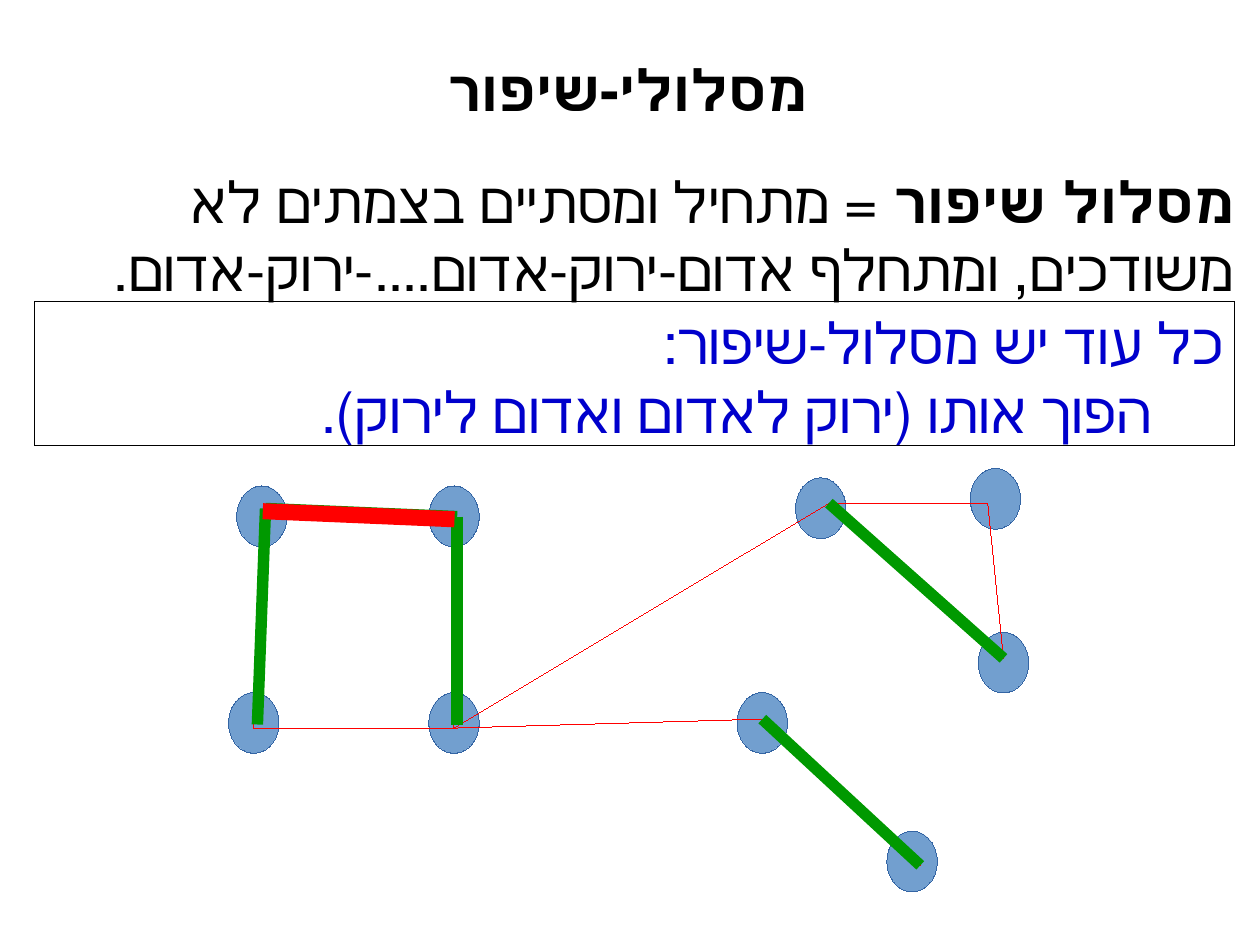
from dataclasses import dataclass

from lxml import etree
from pptx import Presentation
from pptx import util as u
from pptx.dml.color import RGBColor
from pptx.enum import shapes, text
from pptx.oxml.ns import qn

FONT = "Arial"
BLACK, BLUE = "000000", "0000CC"
RED, GREEN = "FF0000", "009900"
NODE_FILL, NODE_LINE = "729FCF", "3465A4"
NODE_W, NODE_H = 1.12, 1.35
SHIFT = 0.08
HAIRLINE = u.Emu(1)
THICK, THICKEST = u.Pt(7.2), u.Pt(10.09)


@dataclass
class Node:
    left: float
    top: float
    x: float
    y: float


@dataclass
class Edge:
    start: str
    end: str
    color: str = RED
    width: u.Length = HAIRLINE
    shift: float = 0


@dataclass
class Part:
    text: str
    color: str = BLACK
    bold: bool = False


NODES = {
    "A": Node(5.26, 10.8, 5.82, 11.38),
    "B": Node(9.53, 10.8, 10.08, 11.56),
    "C": Node(5.08, 15.39, 5.64, 16.18),
    "D": Node(9.53, 15.39, 10.08, 16.18),
    "E": Node(16.38, 15.39, 16.94, 15.98),
    "F": Node(19.71, 18.47, 20.45, 19.23),
    "G": Node(17.68, 10.62, 18.42, 11.18),
    "H": Node(21.56, 10.41, 21.95, 11.18),
    "I": Node(21.74, 14.05, 22.3, 14.63),
}
GRAPH = ["AC", "AB", "BD", "CD", "GI", "GH", "HI", "EF", "DE", "DG"]
EDGES = [Edge(a, b) for a, b in GRAPH] + [
    Edge("A", "B", GREEN, THICK, SHIFT),
    Edge("A", "C", GREEN, THICK, SHIFT),
    Edge("B", "D", GREEN, THICK, SHIFT),
    Edge("A", "B", RED, THICKEST, SHIFT / 4),
    Edge("E", "F", GREEN, THICK),
    Edge("G", "I", GREEN, THICK),
]


def rgb(color: str) -> RGBColor:
    return RGBColor.from_string(color)


def add_text(s, box: tuple, paragraphs: list, align, anchor=text.MSO_ANCHOR.TOP, inset=(0.25, 0.13)):
    sp = s.shapes.add_textbox(*(u.Cm(v) for v in box))
    tf = sp.text_frame
    tf.word_wrap = True
    tf.vertical_anchor = anchor
    tf.margin_left = tf.margin_right = u.Cm(inset[0])
    tf.margin_top = tf.margin_bottom = u.Cm(inset[1])
    for i, parts in enumerate(paragraphs):
        p = tf.add_paragraph() if i else tf.paragraphs[0]
        p.alignment = align
        p._p.get_or_add_pPr().set("rtl", "1")
        for part in parts:
            r = p.add_run()
            r.text = part.text
            r.font.size = u.Pt(36)
            r.font.name = FONT
            r.font.bold = part.bold
            r.font.color.rgb = rgb(part.color)
    return sp


def add_node(s, node: Node) -> None:
    sp = s.shapes.add_shape(
        shapes.MSO_SHAPE.OVAL, u.Cm(node.left), u.Cm(node.top), u.Cm(NODE_W), u.Cm(NODE_H)
    )
    sp.shadow.inherit = False
    sp.fill.solid()
    sp.fill.fore_color.rgb = rgb(NODE_FILL)
    sp.line.color.rgb = rgb(NODE_LINE)
    sp.line.width = HAIRLINE


def add_edge(s, edge: Edge) -> None:
    a, b = NODES[edge.start], NODES[edge.end]
    d = edge.shift
    ends = (a.x + d, a.y - d, b.x + d, b.y - d)
    line = s.shapes.add_connector(shapes.MSO_CONNECTOR.STRAIGHT, *(u.Cm(v) for v in ends))
    line.line.color.rgb = rgb(edge.color)
    line.line.width = edge.width
    etree.SubElement(line._element.spPr, qn("a:effectLst"))


def main() -> None:
    prs = Presentation()
    prs.slide_width, prs.slide_height = u.Cm(28), u.Cm(21)
    s = prs.slides.add_slide(prs.slide_layouts[6])

    add_text(
        s, (0.2, -0.13, 27.48, 4.19), [[Part("מסלולי-שיפור", bold=True)]],
        text.PP_ALIGN.CENTER, text.MSO_ANCHOR.MIDDLE, (0, 0),
    )
    definition = [
        Part("מסלול שיפור ", bold=True),
        Part("= מתחיל ומסתיים בצמתים לא משודכים, ומתחלף אדום-ירוק-אדום....-ירוק-אדום."),
    ]
    add_text(s, (0.2, 3.56, 27.48, 3.2), [definition], text.PP_ALIGN.RIGHT)

    for node in NODES.values():
        add_node(s, node)
    for edge in EDGES:
        add_edge(s, edge)

    steps = [
        [Part("כל עוד יש מסלול-שיפור:", BLUE)],
        [Part("הפוך אותו (ירוק לאדום ואדום לירוק).", BLUE)],
    ]
    algorithm = add_text(s, (0.76, 6.71, 26.67, 3.2), steps, text.PP_ALIGN.RIGHT)
    algorithm.line.color.rgb = rgb(BLACK)
    algorithm.line.width = HAIRLINE
    pPr = algorithm.text_frame.paragraphs[1]._p.get_or_add_pPr()
    for side in ("marL", "marR"):
        pPr.set(side, str(u.Cm(1.58)))
    pPr.set("indent", "0")

    prs.save("out.pptx")


if __name__ == "__main__":
    main()
